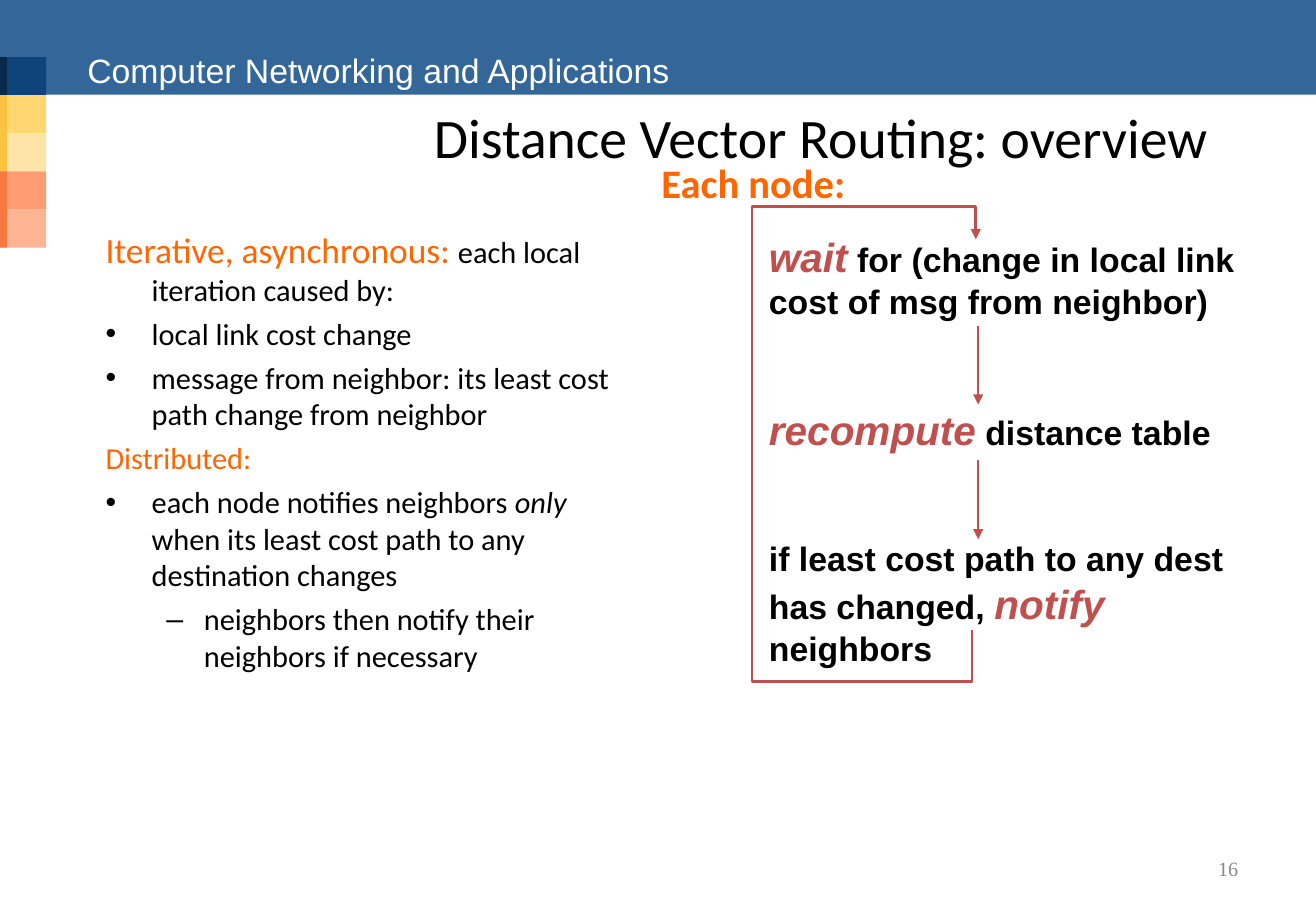
from lxml import etree
from pptx import Presentation
from pptx.dml.color import RGBColor
from pptx.enum.shapes import MSO_CONNECTOR, MSO_SHAPE
from pptx.enum.text import MSO_ANCHOR, PP_ALIGN
from pptx.oxml.ns import qn
from pptx.util import Inches, Pt

RECTANGLE = MSO_SHAPE.RECTANGLE
STRAIGHT = MSO_CONNECTOR.STRAIGHT
TOP, MIDDLE = MSO_ANCHOR.TOP, MSO_ANCHOR.MIDDLE
LEFT, CENTER, RIGHT = PP_ALIGN.LEFT, PP_ALIGN.CENTER, PP_ALIGN.RIGHT

BLACK, ORANGE, RED = "000000", "FF6600", "C0504D"
PLAIN = {"name": "Calibri", "size": 18, "color": BLACK}
STEP = {"name": "Arial", "size": 20, "color": BLACK, "bold": True}
KEYWORD = {**STEP, "size": 24, "color": RED, "italic": True}


def color(value):
    return RGBColor.from_string(value)


def add_block(page, left, top, width, height, fill):
    block = page.shapes.add_shape(
        RECTANGLE, Inches(left), Inches(top), Inches(width), Inches(height))
    block.shadow.inherit = False
    block.fill.solid()
    block.fill.fore_color.rgb = color(fill)
    block.line.fill.background()


def add_text_box(page, left, top, width, height, anchor=TOP):
    box = page.shapes.add_textbox(
        Inches(left), Inches(top), Inches(width), Inches(height))
    box.text_frame.word_wrap = True
    box.text_frame.vertical_anchor = anchor
    return box.text_frame


def write(para, spans, align=LEFT):
    para.alignment = align
    for text, style in spans:
        span = para.add_run()
        span.text = text
        for key, value in style.items():
            if key == "color":
                span.font.color.rgb = color(value)
            else:
                setattr(span.font, key, Pt(value) if key == "size" else value)


def add_line_of_text(page, left, top, width, height, text, style,
                     align=LEFT, anchor=TOP):
    frame = add_text_box(page, left, top, width, height, anchor)
    write(frame.paragraphs[0], [(text, style)], align)


def add_paragraph(frame, index, space_before):
    if index == 0:
        return frame.paragraphs[0]
    para = frame.add_paragraph()
    para.space_before = Pt(space_before)
    return para


def set_bullet(para, indent, hanging, bullet):
    props = para._p.get_or_add_pPr()
    props.set("marL", str(Inches(indent)))
    props.set("indent", str(-Inches(hanging)))
    if bullet:
        etree.SubElement(props, qn("a:buFont")).set("typeface", "Arial")
        etree.SubElement(props, qn("a:buChar")).set("char", bullet)
    else:
        etree.SubElement(props, qn("a:buNone"))


def style_arrow(line):
    line.color.rgb = color(RED)
    line.width = Pt(1.5)
    outline = line._get_or_add_ln()
    etree.SubElement(outline, qn("a:tailEnd")).set("type", "triangle")


def add_banner(page, left, top, width, height):
    add_block(page, left, top, width, height, "336699")
    add_line_of_text(page, left + 0.62, top + 0.36, 8.59, 0.56,
                     "Computer Networking and Applications",
                     {"name": "Arial", "size": 20, "color": "FFFFFF"})


def add_color_strip(page, left, top, width, row_height):
    rows = ["0E447A", "FFD671", "FFE4A7", "FF9C71", "FFB494"]
    for row, fill in enumerate(rows):
        add_block(page, left, top + row * row_height, width, row_height, fill)
    # Dark edge: first row, row count, fill
    for row, count, fill in [(0, 1, "08294A"), (1, 2, "FAC442"), (3, 2, "F67942")]:
        add_block(page, left, top + row * row_height, 0.06,
                  count * row_height, fill)


def add_properties(page, left, top, width, height):
    entries = [
        (0, "", [("Iterative, asynchronous: ", {**PLAIN, "size": 21, "color": ORANGE}),
                 ("each local iteration caused by:", PLAIN)]),
        (0, "•", [("local link cost change", PLAIN)]),
        (0, "•", [("message from neighbor: its least cost path change "
                   "from neighbor", PLAIN)]),
        (0, "", [("Distributed:", {**PLAIN, "color": ORANGE})]),
        (0, "•", [("each node notifies neighbors ", PLAIN),
                  ("only", {**PLAIN, "italic": True}),
                  (" when its least cost path to any destination changes", PLAIN)]),
        (1, "–", [("neighbors then notify their neighbors if necessary", PLAIN)]),
    ]
    indents = [(0.38, 0.38), (0.81, 0.31)]
    frame = add_text_box(page, left, top, width, height)
    for index, (level, bullet, spans) in enumerate(entries):
        para = add_paragraph(frame, index, 4.5)
        para.level = level
        set_bullet(para, *indents[level], bullet)
        write(para, spans)


def add_node_cycle(page, left, top, width, height):
    # Steps
    steps = [
        [("wait", KEYWORD),
         (" for (change in local link cost of msg from neighbor)", STEP)],
        [("recompute", KEYWORD), (" distance table", STEP)],
        [("if least cost path to any dest has changed, ", STEP),
         ("notify", KEYWORD), (" neighbors", STEP)],
    ]
    frame = add_text_box(page, left + 0.04, top + 0.16, width, height)
    for index, spans in enumerate(steps):
        write(add_paragraph(frame, index, 50), spans)

    # Arrows between the steps
    for start in (0.98, 2.09):
        arrow = page.shapes.add_connector(
            STRAIGHT, Inches(left + 1.86), Inches(top + start),
            Inches(left + 1.86), Inches(top + start + 0.65))
        style_arrow(arrow.line)
        etree.SubElement(arrow._element.spPr, qn("a:effectLst"))

    # Return path from the last step to the first
    corners = [(1.81, 3.49), (1.81, 3.91), (0, 3.91), (0, 0), (1.84, 0), (1.84, 0.27)]
    points = [(Inches(left + x), Inches(top + y)) for x, y in corners]
    builder = page.shapes.build_freeform(*points[0])
    builder.add_line_segments(points[1:], close=False)
    loop = builder.convert_to_shape()
    loop.shadow.inherit = False
    loop.fill.background()
    style_arrow(loop.line)


def main():
    deck = Presentation()
    deck.slide_width, deck.slide_height = Inches(10.83), Inches(7.5)
    page = deck.slides.add_slide(deck.slide_layouts[6])

    # Frame of the page
    add_banner(page, 0, 0, 10.83, 0.78)
    add_color_strip(page, 0, 0.47, 0.38, 0.314)

    # Title and content
    add_line_of_text(page, 3.22, 0.5, 7.07, 1.25, "Distance Vector Routing: overview",
                     {**PLAIN, "size": 33}, CENTER, MIDDLE)
    add_properties(page, 0.77, 1.83, 4.48, 5.08)
    add_node_cycle(page, 6.19, 1.7, 4.17, 4.14)
    add_line_of_text(page, 5.34, 1.25, 1.72, 0.5, "Each node:",
                     {**PLAIN, "size": 24, "color": ORANGE, "bold": True}, CENTER)

    # Page number
    add_line_of_text(page, 7.76, 6.95, 2.53, 0.4, "16",
                     {"name": "Times New Roman", "size": 12, "color": "898989"},
                     RIGHT, MIDDLE)
    deck.save("out.pptx")


if __name__ == "__main__":
    main()
